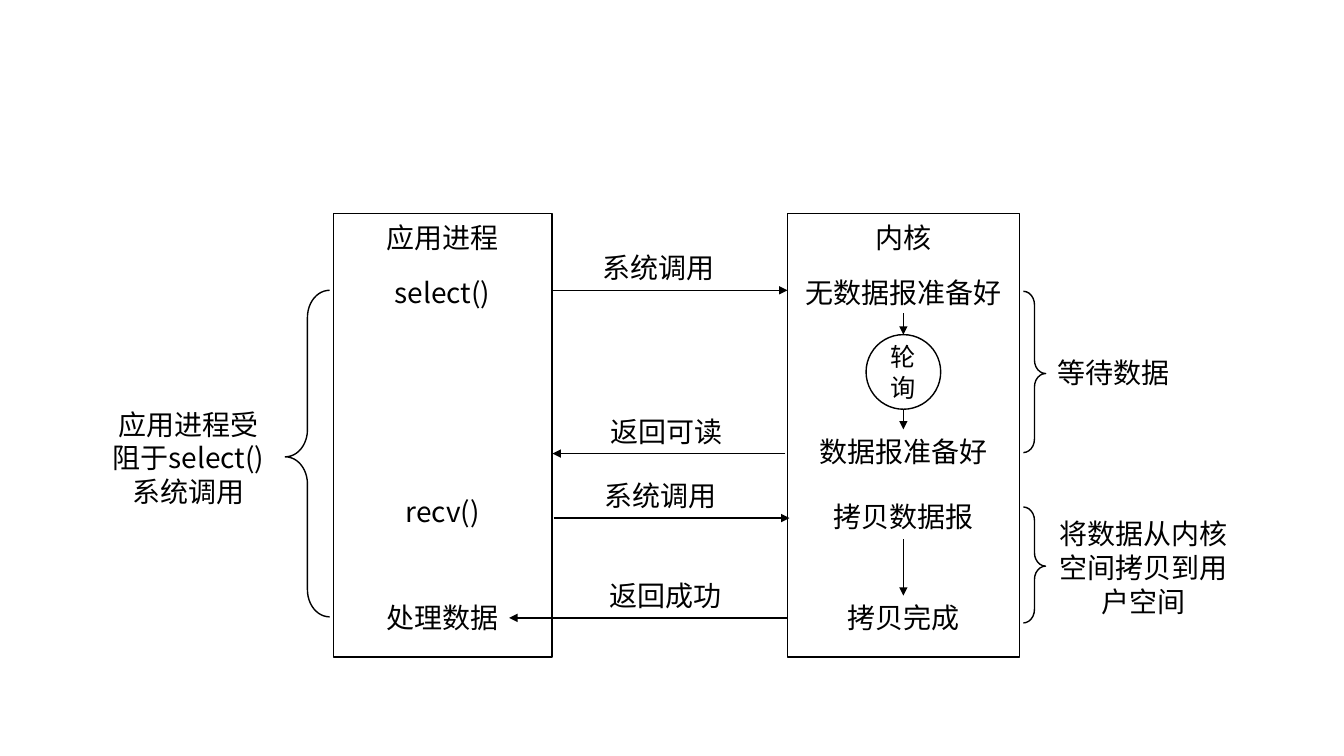
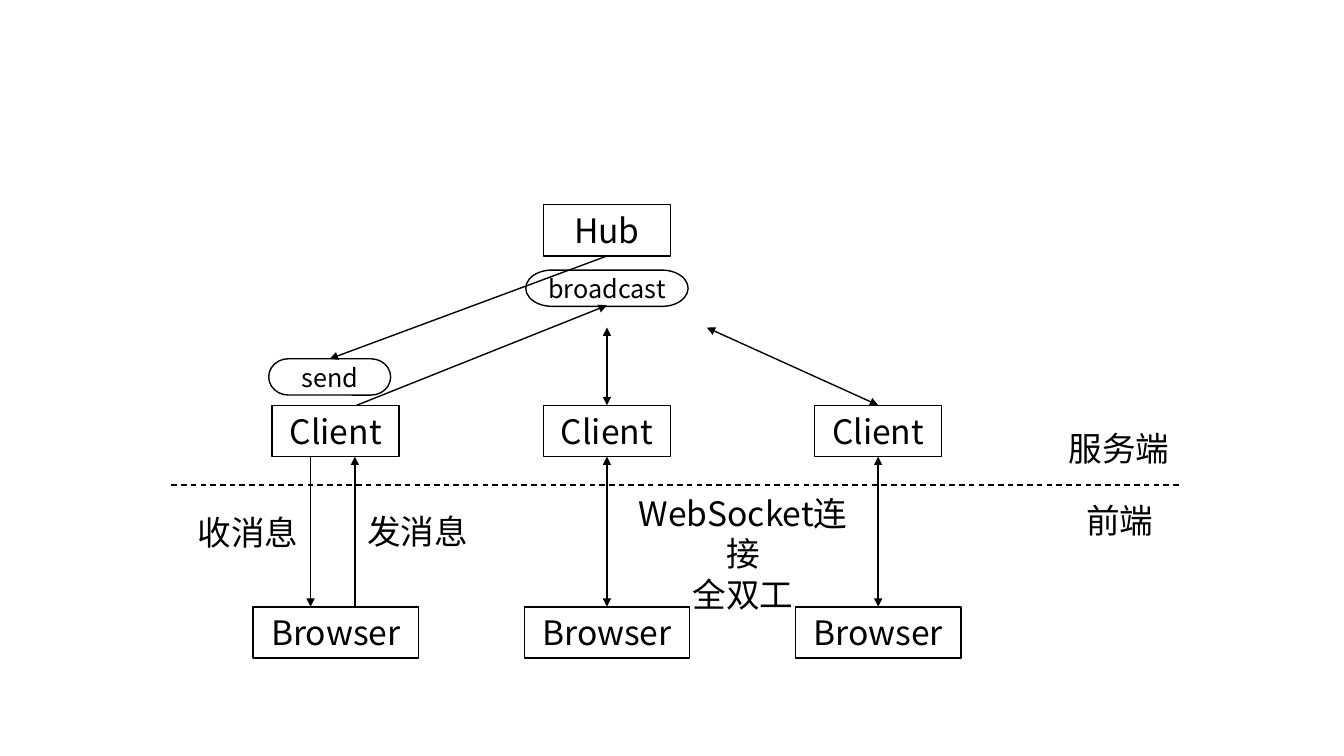
from dataclasses import dataclass

from lxml import etree
from pptx import Presentation
from pptx.dml.color import RGBColor
from pptx.enum.dml import MSO_LINE
from pptx.enum.shapes import MSO_CONNECTOR, MSO_SHAPE
from pptx.enum.text import MSO_ANCHOR, MSO_AUTO_SIZE, PP_ALIGN
from pptx.oxml.ns import qn
from pptx.util import Inches, Pt

STRAIGHT = MSO_CONNECTOR.STRAIGHT
RECTANGLE = MSO_SHAPE.RECTANGLE
ELLIPSE = MSO_SHAPE.OVAL
TERMINATOR = MSO_SHAPE.FLOWCHART_TERMINATOR
BRACE = MSO_SHAPE.RIGHT_BRACE
CENTER = PP_ALIGN.CENTER
LEFT = PP_ALIGN.LEFT
MIDDLE = MSO_ANCHOR.MIDDLE
GROW = MSO_AUTO_SIZE.SHAPE_TO_FIT_TEXT
DASH = MSO_LINE.DASH


@dataclass(frozen=True)
class Theme:
    """Colours, type sizes and grid shared by both slides."""

    ink: RGBColor = RGBColor(0, 0, 0)
    font: str = "Noto Sans CJK SC"
    small: int = 18
    body: int = 20
    large: int = 24
    line: float = 1
    cell: int = Inches(1)
    columns: float = 13.33
    rows: float = 7.5


THEME = Theme()


def cells(*counts):
    """Convert grid columns or rows to slide lengths."""
    return [int(count * THEME.cell) for count in counts]


def write(text_frame, text, size, alignment=CENTER):
    """Put formatted text into a text frame."""
    text_frame.text = text
    for paragraph in text_frame.paragraphs:
        paragraph.alignment = alignment
        for run in paragraph.runs:
            run.font.size = Pt(size)
            run.font.name = THEME.font
            run.font.color.rgb = THEME.ink
            east_asian = etree.SubElement(run.font._element, qn("a:ea"))
            east_asian.set("typeface", THEME.font)


def add_outline(slide, kind, center, top, width, height, text="", size=THEME.large):
    """Add an unfilled, outlined shape centred on a column."""
    shape = slide.shapes.add_shape(kind, *cells(center - width / 2, top, width, height))
    shape.shadow.inherit = False
    shape.fill.background()
    shape.line.color.rgb = THEME.ink
    shape.line.width = Pt(THEME.line)
    if text:
        write(shape.text_frame, text, size)
        shape.text_frame.vertical_anchor = MIDDLE
    return shape


def add_brace(slide, center, top, width, height, mirrored=False):
    """Add a brace that opens to the left, or to the right when mirrored."""
    brace = add_outline(slide, BRACE, center, top, width, height)
    brace.adjustments[0] = 0.61
    brace.adjustments[1] = 0.51
    if mirrored:
        brace._element.spPr.find(qn("a:xfrm")).set("flipH", "1")


def label_width(text, size):
    """Estimate a width with room for one line of Chinese or Latin text."""
    ems = sum(1 if ord(character) > 0x2E80 else 0.48 for character in text)
    return ems * size / 72 + 0.22


def add_label(slide, text, center, top, size=THEME.body, width=None, alignment=CENTER):
    """Add a text box on a column; a given width makes it wrap."""
    box_width = width or label_width(text, size)
    height = 0.1 + (text.count("\n") + 1) * size * 1.2 / 72
    box = slide.shapes.add_textbox(*cells(center - box_width / 2, top, box_width, height))
    box.text_frame.word_wrap = width is not None
    box.text_frame.auto_size = GROW
    write(box.text_frame, text, size, alignment)


def add_line(slide, start, end, arrows=("tailEnd",)):
    """Add a straight line with triangles at the named ends."""
    connector = slide.shapes.add_connector(STRAIGHT, *cells(*start, *end))
    connector.line.color.rgb = THEME.ink
    connector.line.width = Pt(THEME.line)
    properties = connector._element.spPr
    for arrow in arrows:
        etree.SubElement(properties.find(qn("a:ln")), qn(f"a:{arrow}")).set("type", "triangle")
    etree.SubElement(properties, qn("a:effectLst"))
    return connector


def add_message(slide, text, center, row, start, end):
    """Add a horizontal arrow with its label above."""
    add_line(slide, (start, row), (end, row))
    add_label(slide, text, center, row - 0.44)


def build_select_slide(slide):
    """Show how select() blocks a process while the kernel polls."""
    process, kernel = 4.39, 8.96
    for center, width in ((process, 2.17), (kernel, 2.3)):
        add_outline(slide, RECTANGLE, center, 2.12, width, 4.4)

    steps = {
        process: (("应用进程", 2.14), ("select()", 2.68), ("recv()", 4.86), ("处理数据", 5.91)),
        kernel: (("内核", 2.14), ("无数据报准备好", 2.68), ("数据报准备好", 4.26),
                 ("拷贝数据报", 4.91), ("拷贝完成", 5.91)),
    }
    for center, lane in steps.items():
        for text, top in lane:
            add_label(slide, text, center, top)

    for message in (
        ("系统调用", 6.53, 2.88, 5.47, 7.81),
        ("返回可读", 6.61, 4.5, 7.79, 5.48),
        ("系统调用", 6.55, 5.14, 5.49, 7.83),
        ("返回成功", 6.6, 6.13, 7.81, 5.05),
    ):
        add_message(slide, *message)

    add_outline(slide, ELLIPSE, kernel, 3.32, 0.74, 0.74, "轮询", THEME.small)
    for top, bottom in ((3.11, 3.32), (4.06, 4.26), (5.35, 5.91)):
        add_line(slide, (kernel, top), (kernel, bottom))

    add_brace(slide, 3.05, 2.88, 0.44, 3.24, mirrored=True)
    for top, height in ((2.89, 1.6), (5.03, 1.15)):
        add_brace(slide, 10.26, top, 0.22, height)
    add_label(slide, "应用进程受\n阻于select()\n系统调用", 1.87, 3.99, width=1.72)
    add_label(slide, "等待数据", 11.04, 3.48)
    add_label(slide, "将数据从内核\n空间拷贝到用\n户空间", 11.34, 5.08, width=1.88)


def build_hub_slide(slide):
    """Show a hub that serves browsers through their clients."""
    first, middle, last = [3.33 + 2.69 * index for index in range(3)]
    box_height, client_top, browser_top = 0.51, 4.02, 6.02
    client_bottom = client_top + box_height
    both = ("headEnd", "tailEnd")

    add_outline(slide, RECTANGLE, middle, 2.03, 1.26, box_height, "Hub")
    for center in (first, middle, last):
        add_outline(slide, RECTANGLE, center, client_top, 1.26, box_height, "Client")
        add_outline(slide, RECTANGLE, center, browser_top, 1.64, box_height, "Browser")
    add_outline(slide, TERMINATOR, middle, 2.68, 1.61, 0.36, "broadcast", THEME.small)
    add_outline(slide, TERMINATOR, 3.27, 3.56, 1.21, 0.36, "send", THEME.small)

    for center, hub_end in ((middle, middle), (last, 7.01)):
        add_line(slide, (hub_end, 3.25), (center, client_top), both)
        add_line(slide, (center, client_bottom), (center, browser_top), both)
    add_line(slide, (3.08, client_bottom), (3.08, browser_top))
    add_line(slide, (3.52, browser_top), (3.52, client_bottom))
    add_line(slide, (3.54, client_top), (middle, 3.03))
    add_line(slide, (middle, 2.54), (3.27, 3.56))
    boundary = add_line(slide, (11.69, 4.81), (1.66, 4.81), ())
    boundary.line.dash_style = DASH

    add_label(slide, "收消息", 2.46, 5.03, THEME.large)
    add_label(slide, "发消息", 4.14, 5.02, THEME.large)
    add_label(slide, "WebSocket连接\n全双工", 7.37, 4.84, THEME.large, 2.4)
    add_label(slide, "服务端", 11.11, 4.2, THEME.large, alignment=LEFT)
    add_label(slide, "前端", 11.12, 4.91, THEME.large, alignment=LEFT)


def main():
    """Build and save the presentation."""
    presentation = Presentation()
    presentation.slide_width, presentation.slide_height = cells(THEME.columns, THEME.rows)
    blank = presentation.slide_layouts[6]
    for build in (build_select_slide, build_hub_slide):
        build(presentation.slides.add_slide(blank))
    presentation.save("out.pptx")


main()
